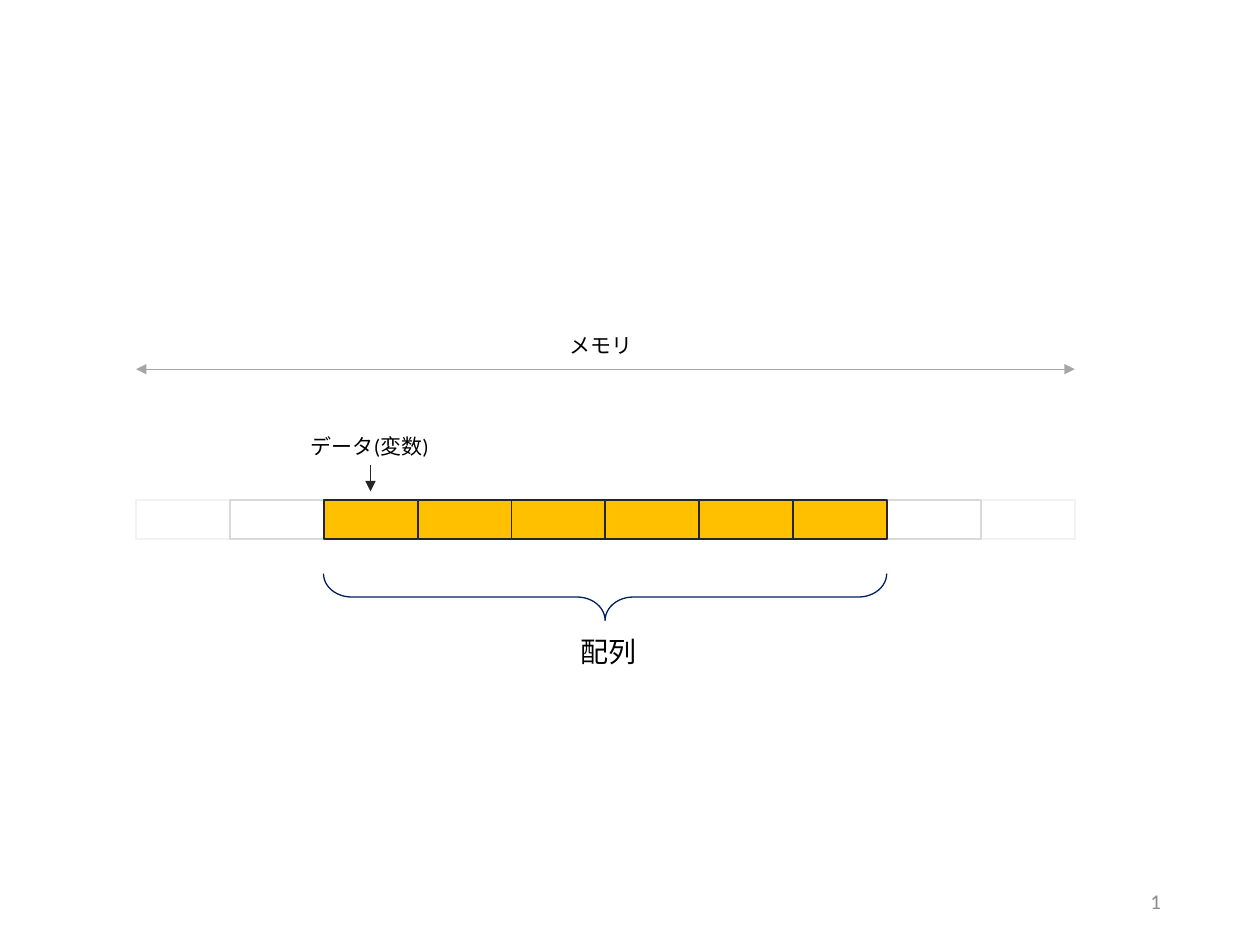
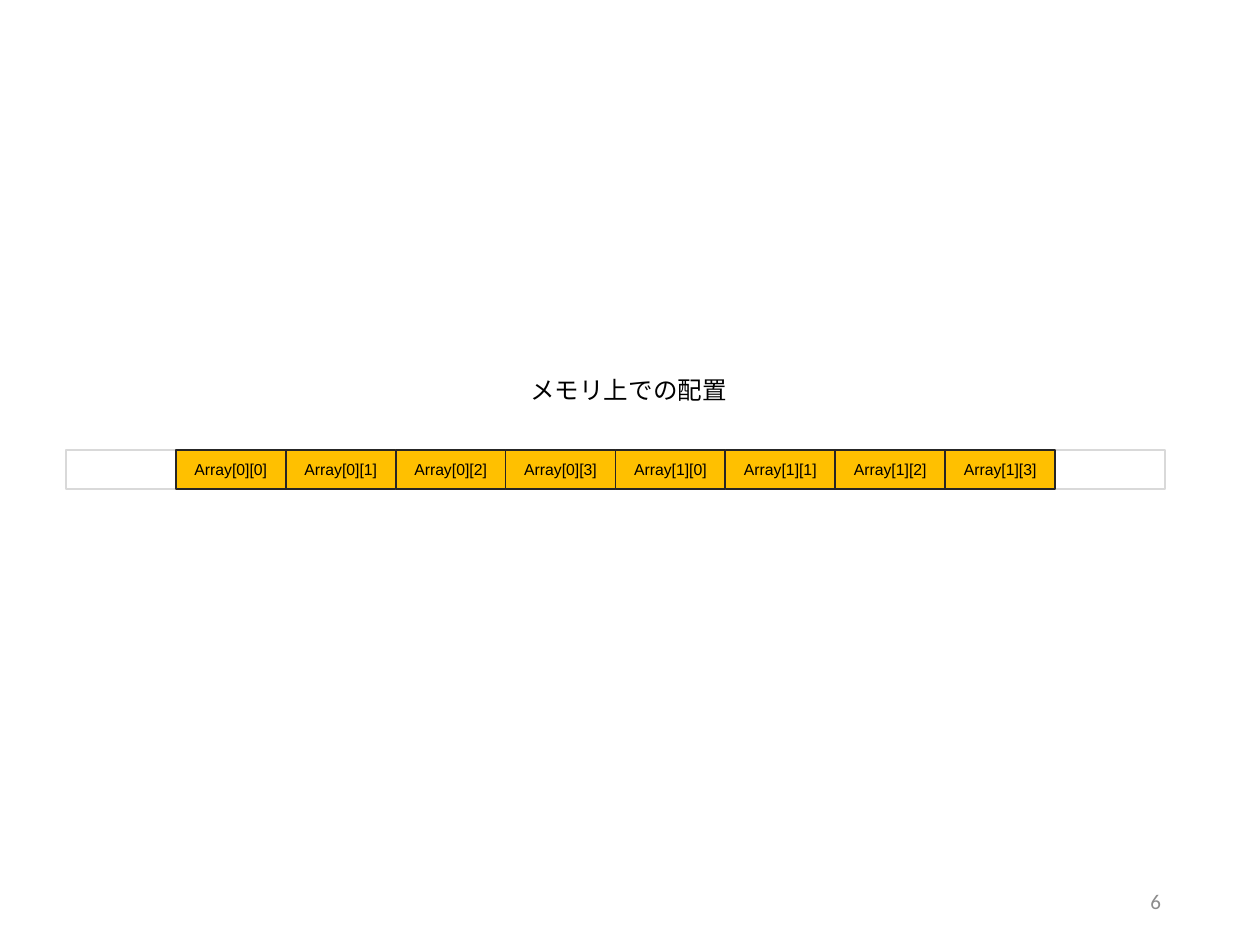
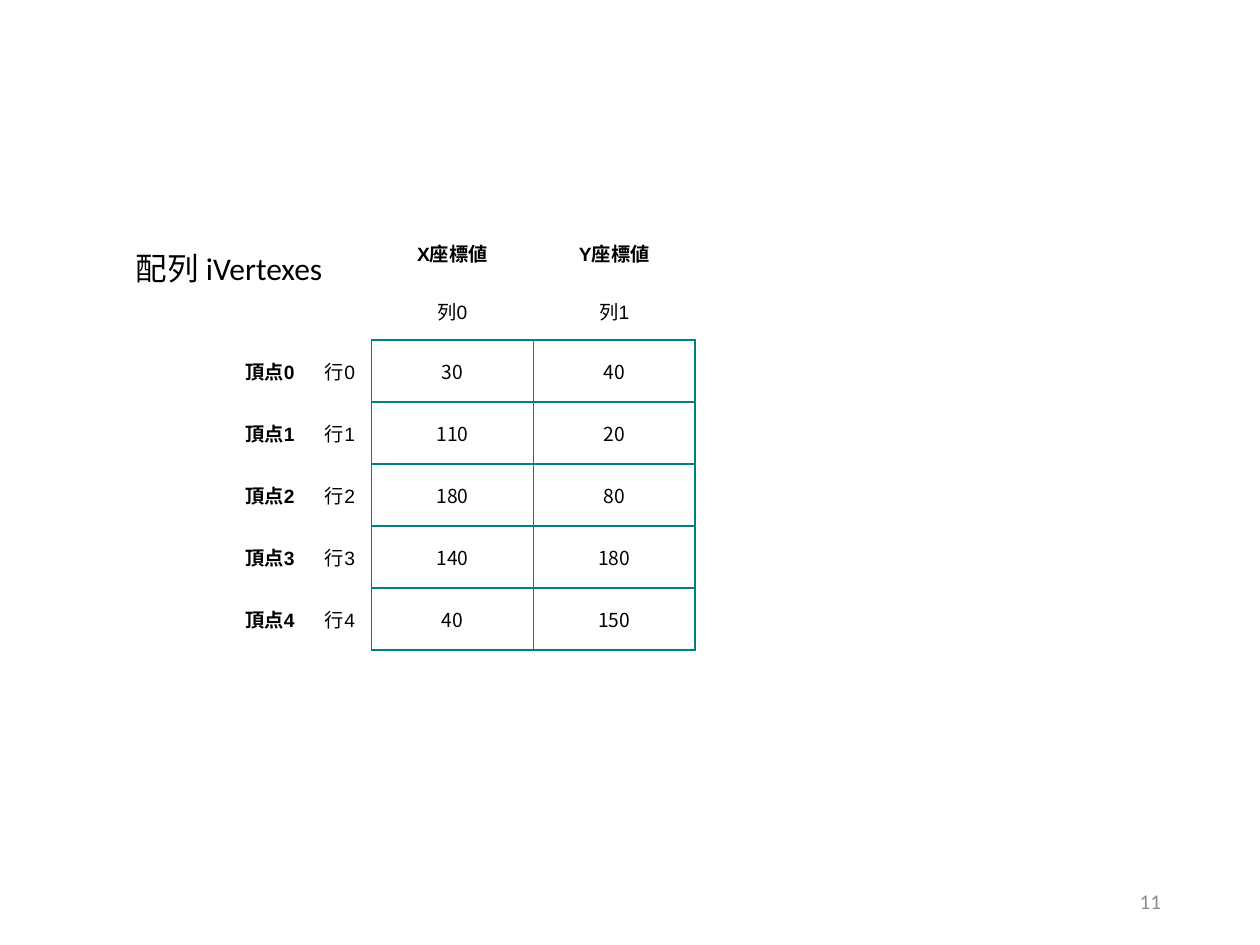
from dataclasses import dataclass

from pptx import Presentation
from pptx.dml.color import RGBColor
from pptx.enum.shapes import MSO_CONNECTOR as Link, MSO_SHAPE as Kind
from pptx.enum.text import MSO_ANCHOR as Anchor, MSO_AUTO_SIZE as Fit, PP_ALIGN as Align
from pptx.oxml.ns import qn
from pptx.util import Pt
from lxml.etree import SubElement


@dataclass(frozen=True)
class Theme:
    # Colours
    ink: str = "000000"
    edge: str = "262626"
    gold: str = "FFC000"
    near: str = "D9D9D9"
    far: str = "F2F2F2"
    navy: str = "002060"
    gray: str = "A6A6A6"
    page: str = "8C8C8C"
    teal: str = "008080"
    # Fonts
    body: str = "Calibri"
    code: str = "Arial"
    digit: str = "Noto Sans CJK JP"
    # Type sizes
    tiny: float = 9
    cell: float = 11
    note: float = 12
    label: float = 14
    name: float = 16
    title: float = 18


T = Theme()


class Deck:
    def __init__(self):
        self.prs = Presentation()
        self.prs.slide_width, self.prs.slide_height = Pt(720), Pt(540)
        self.slide = None

    def page(self, number):
        """Start a slide and number it."""
        self.slide = self.prs.slides.add_slide(self.prs.slide_layouts[6])
        box = self.text(str(number), 508.5, 500.5, 162, 28.75, T.note, T.page, Align.RIGHT)
        box.text_frame.auto_size = Fit.NONE
        box.text_frame.vertical_anchor = Anchor.MIDDLE

    def style(self, para, size, color=T.ink, face=T.body, align=None, bold=False):
        para.alignment = align
        font = para.font
        font.name, font.size, font.bold = face, Pt(size), bold
        font.color.rgb = RGBColor.from_string(color)

    def text(self, words, x, y, w, h, size, color=T.ink, align=None):
        box = self.slide.shapes.add_textbox(Pt(x), Pt(y), Pt(w), Pt(h))
        frame = box.text_frame
        frame.word_wrap = True
        frame.auto_size = Fit.SHAPE_TO_FIT_TEXT
        frame.text = words
        self.style(frame.paragraphs[0], size, color, align=align)
        return box

    def shape(self, kind, x, y, w, h, line, fill=None, weight=1):
        item = self.slide.shapes.add_shape(kind, Pt(x), Pt(y), Pt(w), Pt(h))
        item.shadow.inherit = False
        item.line.color.rgb = RGBColor.from_string(line)
        item.line.width = Pt(weight)
        if fill:
            item.fill.solid()
            item.fill.fore_color.rgb = RGBColor.from_string(fill)
        else:
            item.fill.background()
        return item

    def strip(self, x, y, w, names, pads):
        """Row of memory cells: named gold ones between empty pads, inner pad first."""
        first, count = len(pads), len(names)
        for i in reversed(range(first)):
            for slot in (first + count + i, first - 1 - i):
                self.shape(Kind.RECTANGLE, x + slot * w, y, w, 22.3, pads[i])
        for i, name in enumerate(names, first):
            cell = self.shape(Kind.RECTANGLE, x + i * w, y, w, 22.3, T.edge, T.gold)
            if name:
                frame = cell.text_frame
                frame.text = name
                frame.vertical_anchor = Anchor.MIDDLE
                self.style(frame.paragraphs[0], T.tiny, face=T.code, align=Align.CENTER)

    def arrow(self, x1, y1, x2, y2, color, weight, ends=("tailEnd",)):
        link = self.slide.shapes.add_connector(
            Link.STRAIGHT, Pt(x1), Pt(y1), Pt(x2), Pt(y2))
        link.line.color.rgb = RGBColor.from_string(color)
        link.line.width = Pt(weight)
        for end in ends:
            SubElement(link.line._ln, qn("a:" + end), type="triangle")
        SubElement(link._element.spPr, qn("a:effectLst"))

    def border(self, cell, sides):
        props = cell._tc.get_or_add_tcPr()
        for i, side in enumerate(s for s in "LRTB" if s in sides):
            line = props.makeelement(qn("a:ln" + side), {"w": str(Pt(1))})
            fill = SubElement(line, qn("a:solidFill"))
            SubElement(fill, qn("a:srgbClr"), val=T.teal)
            props.insert(i, line)

    def table(self, x, y, cols, rows, data, heads):
        """Grid whose leading rows and columns are unboxed headings."""
        frame = self.slide.shapes.add_table(
            len(rows), len(cols), Pt(x), Pt(y), Pt(sum(cols)), Pt(sum(rows)))
        grid = frame.table
        grid.first_row = grid.horz_banding = False
        for col, w in zip(grid.columns, cols):
            col.width = Pt(w)
        for row, h in zip(grid.rows, rows):
            row.height = Pt(h)
        for r, line in enumerate(data):
            for c, word in enumerate(line):
                cell = grid.cell(r, c)
                cell.text = str(word)
                cell.vertical_anchor = Anchor.MIDDLE
                cell.fill.background()
                inner = r >= heads and c >= heads
                self.style(cell.text_frame.paragraphs[0], T.cell,
                           face=T.digit if inner else T.code,
                           align=Align.CENTER, bold=r == 0 or c == 0)
                if inner:
                    self.border(cell, "LRTB")
                elif c >= heads and r == heads - 1:
                    self.border(cell, "B")
                elif r >= heads and c == heads - 1:
                    self.border(cell, "R")


def main():
    deck = Deck()

    # An array in memory
    deck.page(1)
    left, top, wide = 77.75, 285.8, 53.64
    deck.strip(left, top, wide, [""] * 6, [T.near, T.far])
    deck.text("データ(変数)", 170.6, 244, 82.8, 21.6, T.note)
    deck.arrow(211.7, 265.7, 211.7, 280.8, T.edge, 1)
    brace = deck.shape(Kind.LEFT_BRACE, 332.4, 180.2, 26.8, 6 * wide, T.navy, weight=0.75)
    brace.rotation = 270
    brace.adjustments[0] = 0.6
    deck.text("配列", 324.7, 359.3, 46.8, 26.6, T.name)
    deck.arrow(left, 211, left + 10 * wide, 211, T.gray, 0.5, ("headEnd", "tailEnd"))
    deck.text("メモリ", 318.2, 186.5, 51.1, 21.6, T.note)

    # A two-dimensional array laid out in memory
    deck.page(6)
    names = [f"Array[{i}][{j}]" for i in range(2) for j in range(4)]
    deck.strip(37.7, 257, 62.8, names, [T.near])
    deck.text("メモリ上での配置", 296, 211, 128.2, 24.5, T.label)

    # Vertex table
    deck.page(11)
    points = [(30, 40), (110, 20), (180, 80), (140, 180), (40, 150)]
    data = [("", "", "X座標値", "Y座標値"), ("", "", "列0", "列1")]
    data += [(f"頂点{i}", f"行{i}", *point) for i, point in enumerate(points)]
    deck.table(132.3, 128.2, [44, 36, 92.5, 92.5], [33.1] * 2 + [26.6] * 5, data, 2)
    deck.text("配列 iVertexes", 70.6, 139, 122.4, 28.8, T.title)

    deck.prs.save("out.pptx")


if __name__ == "__main__":
    main()
